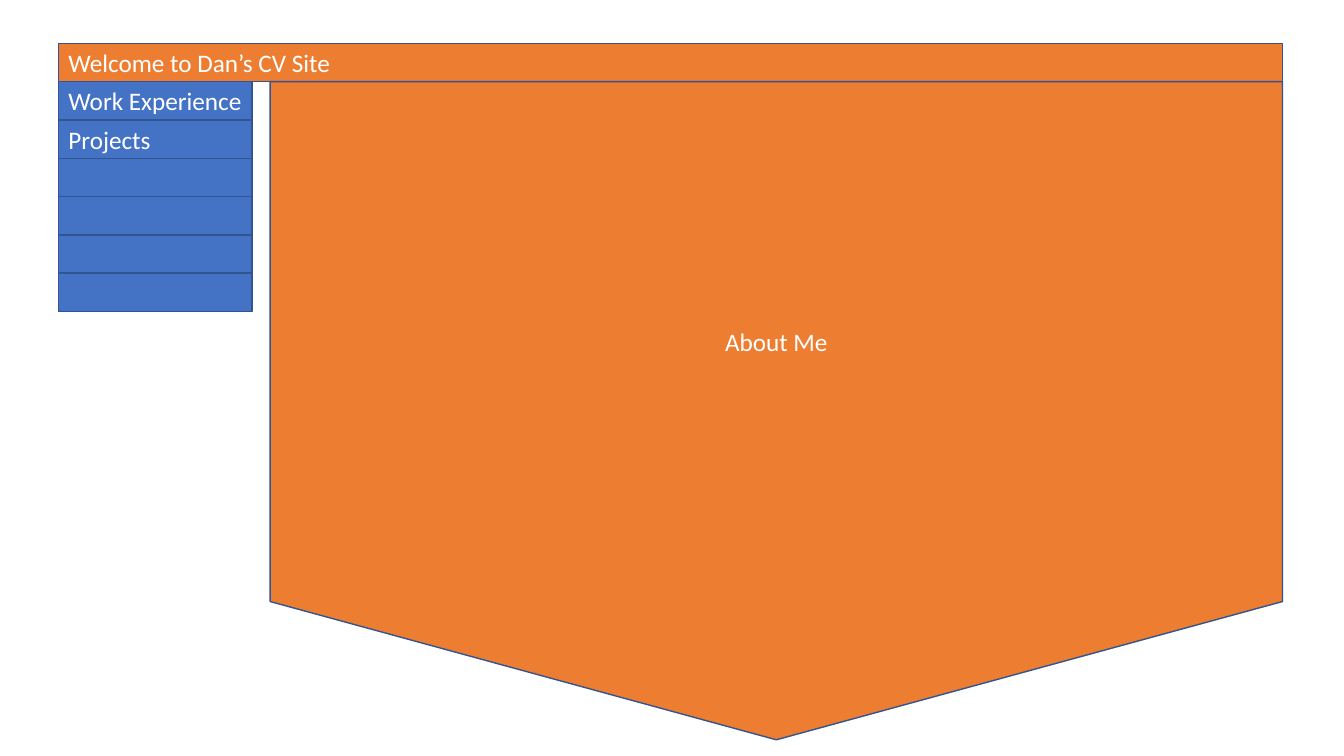
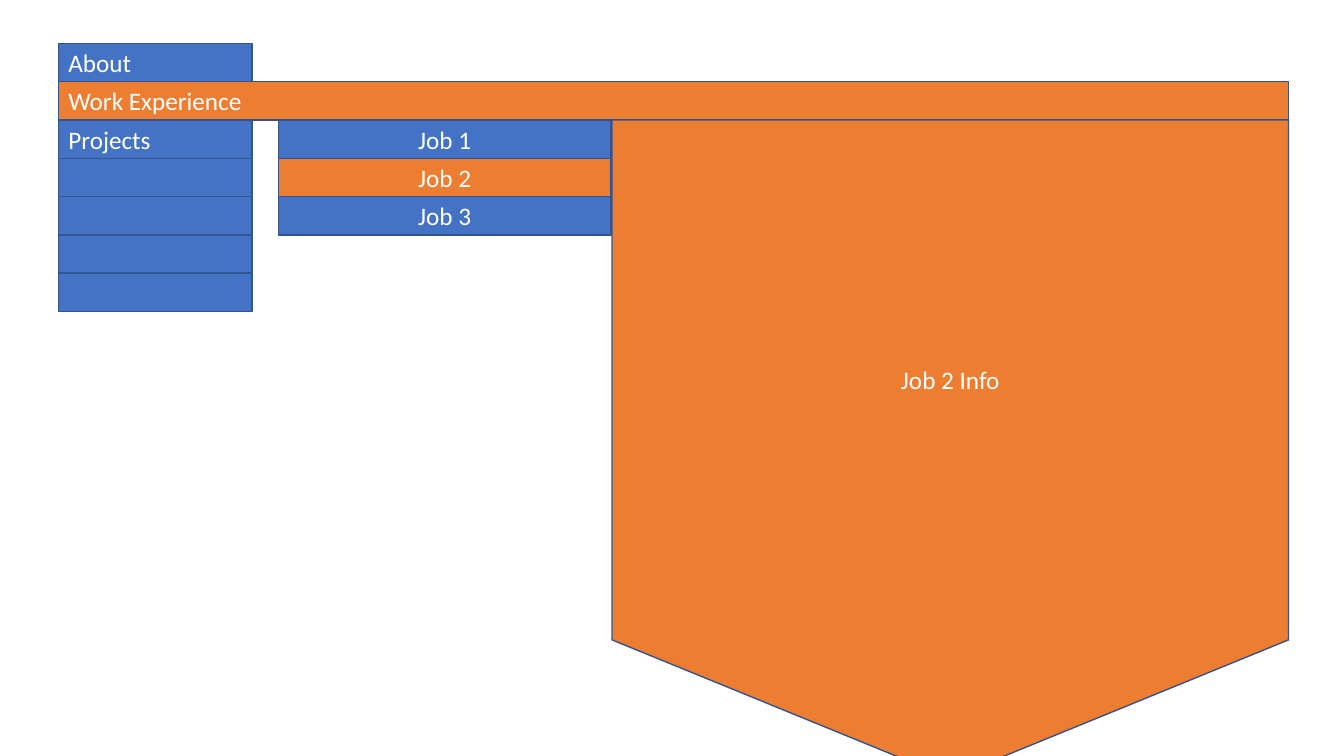
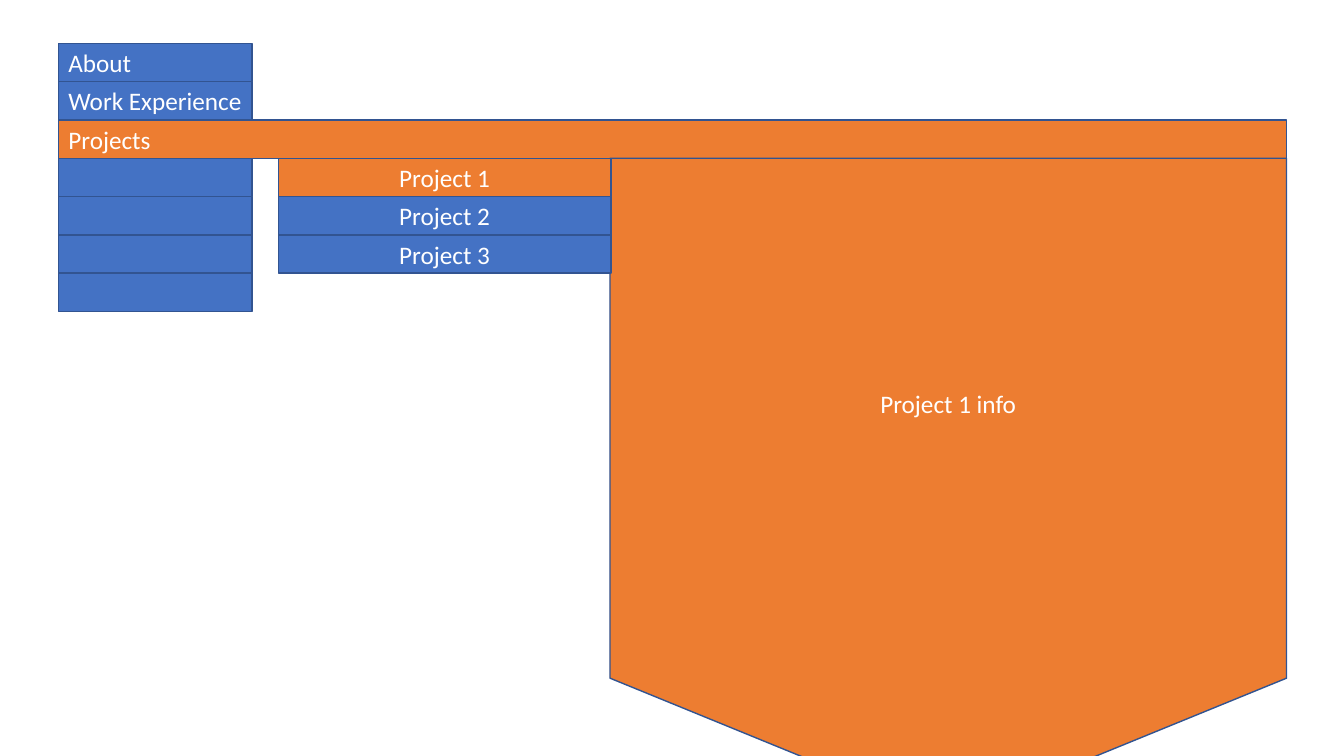
from dataclasses import dataclass

from pptx import Presentation
from pptx.dml.color import RGBColor
from pptx.enum.shapes import MSO_SHAPE as SHAPE
from pptx.enum.text import MSO_ANCHOR, PP_ALIGN as ALIGN
from pptx.util import Inches, Pt


@dataclass(frozen=True)
class Theme:
    idle: RGBColor = RGBColor(0x44, 0x72, 0xC4)
    active: RGBColor = RGBColor(0xED, 0x7D, 0x31)
    outline: RGBColor = RGBColor(0x32, 0x54, 0x91)
    text: RGBColor = RGBColor(0xFF, 0xFF, 0xFF)
    font: str = "Calibri"
    size: Pt = Pt(18)
    line: Pt = Pt(1)


THEME = Theme()
ROW_H = 0.38
MENU_LEFT, MENU_TOP, MENU_W = 0.58, 0.43, 1.92
MENU_ROWS = 7
SUBMENU_LEFT, SUBMENU_W = 2.76, 3.3
PANEL_H = 6.53
ARROW_TIP = 0.21


def add_block(slide, kind, box, text, active, align):
    """Add an outlined shape, coloured by whether it is selected."""
    sp = slide.shapes.add_shape(kind, *map(Inches, box))
    sp.shadow.inherit = False
    sp.fill.solid()
    sp.fill.fore_color.rgb = THEME.active if active else THEME.idle
    sp.line.color.rgb = THEME.outline
    sp.line.width = THEME.line
    if text:
        tf = sp.text_frame
        tf.text = text
        tf.word_wrap = True
        tf.vertical_anchor = MSO_ANCHOR.MIDDLE
        p = tf.paragraphs[0]
        p.alignment = align
        font = p.runs[0].font
        font.name, font.size = THEME.font, THEME.size
        font.color.rgb = THEME.text
    return sp


def add_menu(slide, left, top, labels, selected, banner_w):
    """Stack the menu rows; the selected one widens into a banner."""
    for i in range(MENU_ROWS):
        active = i == selected
        box = (left, top + i * ROW_H, banner_w if active else MENU_W, ROW_H)
        text = labels[i] if i < len(labels) else ""
        add_block(slide, SHAPE.RECTANGLE, box, text, active, ALIGN.LEFT)


def add_panel(slide, left, top, width, text, bottom_inset):
    sp = add_block(slide, SHAPE.DOWN_ARROW, (left, top, width, PANEL_H),
                   text, True, ALIGN.CENTER)
    sp.adjustments[0] = 1
    sp.adjustments[1] = ARROW_TIP
    sp.text_frame.margin_bottom = Inches(bottom_inset)


def add_submenu(slide, left, top, items, selected):
    for i, item in enumerate(items):
        box = (left, top + i * ROW_H, SUBMENU_W, ROW_H)
        add_block(slide, SHAPE.RECTANGLE, box, item, item == selected, ALIGN.CENTER)


def add_page(prs, labels, selected, panel_left, panel_w, info,
             items=(), chosen=None, bottom_inset=0.05):
    """Add a slide with its menu, content panel and optional submenu."""
    slide = prs.slides.add_slide(prs.slide_layouts[6])
    content_top = MENU_TOP + (selected + 1) * ROW_H
    banner_w = panel_left + panel_w - MENU_LEFT
    add_menu(slide, MENU_LEFT, MENU_TOP, labels, selected, banner_w)
    add_panel(slide, panel_left, content_top, panel_w, info, bottom_inset)
    add_submenu(slide, SUBMENU_LEFT, content_top, items, chosen)


def main():
    prs = Presentation()
    prs.slide_width, prs.slide_height = Inches(13.33), Inches(7.5)
    sections = ["Work Experience", "Projects"]
    add_page(prs, ["Welcome to Dan’s CV Site", *sections], 0, 2.68, 10.04, "About Me")
    labels = ["About", *sections]
    add_page(prs, labels, 1, 6.07, 6.71, "Job 2 Info",
             [f"Job {n}" for n in (1, 2, 3)], "Job 2")
    add_page(prs, labels, 2, 6.05, 6.71, "Project 1 info",
             [f"Project {n}" for n in (1, 2, 3)], "Project 1", bottom_inset=0.35)
    prs.save("out.pptx")


if __name__ == "__main__":
    main()
